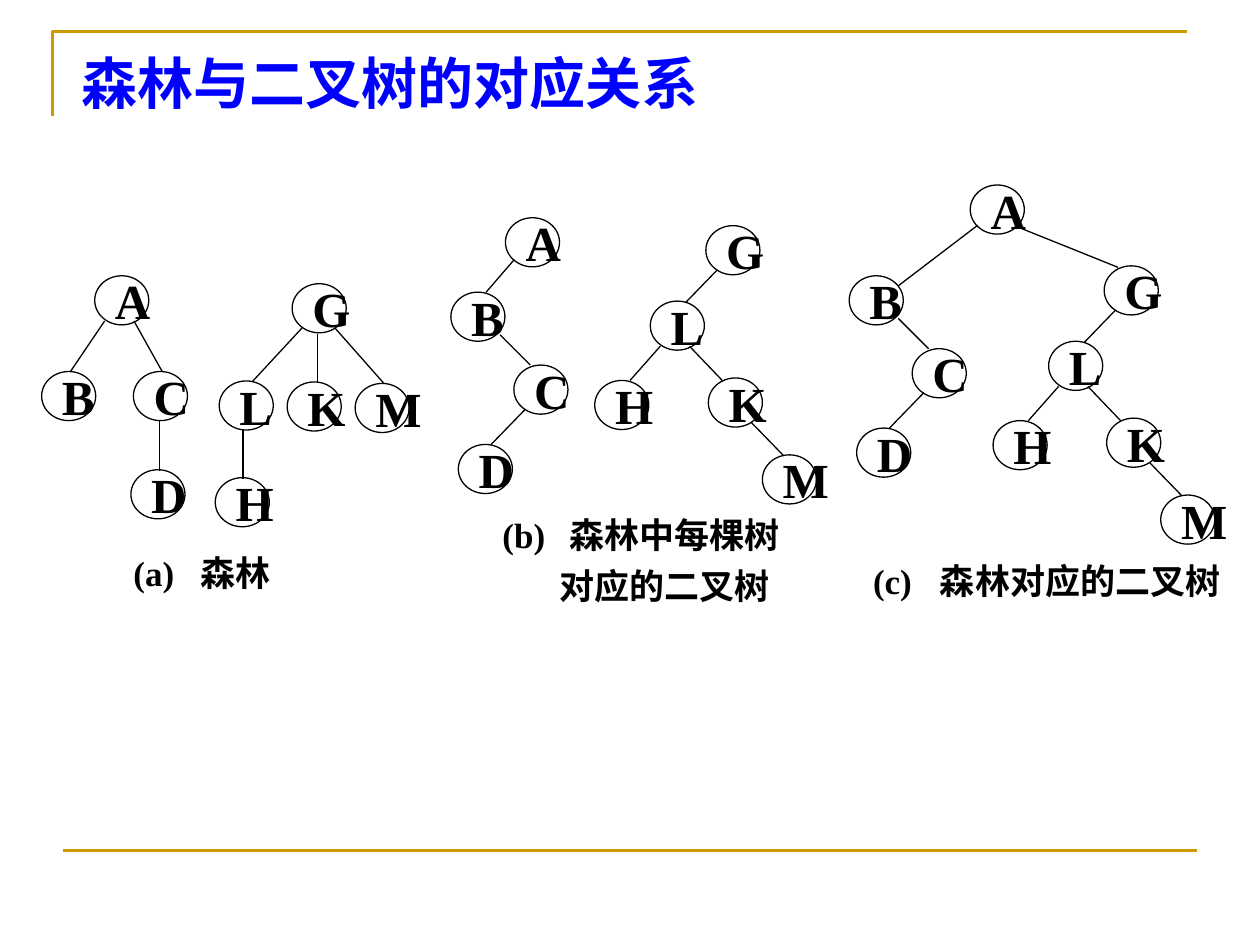
import dataclasses

import lxml.etree
import pptx
import pptx.dml.color
import pptx.enum.shapes
import pptx.enum.text
import pptx.oxml.ns
import pptx.util

Cm = pptx.util.Cm
Pt = pptx.util.Pt
RGBColor = pptx.dml.color.RGBColor
Anchor = pptx.enum.text.MSO_ANCHOR


@dataclasses.dataclass(frozen=True)
class Theme:
    """Colours, type sizes and line widths of the slide."""
    font: str = "Times New Roman"
    ink: RGBColor = RGBColor(0, 0, 0)
    title: RGBColor = RGBColor(0, 0, 255)
    frame: RGBColor = RGBColor(0xCC, 0x99, 0)
    title_size: Pt = Pt(32)
    node_size: Pt = Pt(28)
    caption_size: Pt = Pt(20)
    frame_width: Pt = Pt(1.5)
    tree_width: Pt = Pt(0.75)


THEME = Theme()
NODE_WIDTH, NODE_HEIGHT = 1.09, 0.99
CAPTION_TAB = 1.35

FOREST_A = {"A": (1.07, 0), "B": (0, 1.93), "C": (1.85, 1.93), "D": (1.8, 3.91)}
FOREST_G = {"G": (1.55, 0), "L": (0.08, 1.96), "K": (1.45, 1.98),
            "M": (2.82, 2.01), "H": (0, 3.91)}
BINARY_B = {"B": (0, 0), "C": (1.27, 1.47), "D": (0.15, 3.07)}
BINARY_G = {"G": (2.24, 0), "L": (1.12, 1.52), "H": (0, 3.12),
            "K": (2.29, 3.07), "M": (3.38, 4.62)}

FOREST_LINKS = [
    ("AB", (0.2, 0.91), (0.58, 0)), ("AC", (0.79, 0.91), (0.58, 0)),
    ("CD", (0.53, 0.99), (0.58, 0.02)), ("GL", (0.2, 0.89), (0.66, 0.02)),
    ("GK", (0.51, 1.01), (0.61, 0.02)), ("GM", (0.86, 0.89), (0.58, 0)),
    ("LH", (0.48, 0.99), (0.56, 0.02))]
BINARY_LINKS = [
    ("BC", (0.99, 0.86), (0.33, 0)), ("CD", (0.23, 0.89), (0.66, 0)),
    ("GL", (0.23, 0.89), (0.71, 0.03)), ("LH", (0.2, 0.91), (0.71, 0)),
    ("LK", (0.79, 0.91), (0.28, 0.05)), ("KM", (0.86, 0.89), (0.43, 0.02))]
PAIR_LINKS = [("AB", (0.18, 0.84), (0.71, 0))]
JOINED_LINKS = [("AB", (0.15, 0.81), (0.99, 0.2)), ("AG", (0.99, 0.86), (0.28, 0.03))]


def shifted(nodes, left, top):
    """Return the nodes moved by the given offset."""
    return {name: (x + left, y + top) for name, (x, y) in nodes.items()}


def offset_point(place, offset):
    """Return the point at an offset from a node corner."""
    return [round(a + b, 2) for a, b in zip(place, offset)]


def style_paragraph(para, size, color):
    """Give a paragraph the bold slide font, left aligned."""
    para.alignment = pptx.enum.text.PP_ALIGN.LEFT
    para.font.name = THEME.font
    para.font.size = size
    para.font.bold = True
    para.font.color.rgb = color


def set_frame(frame, anchor, wrap):
    """Set the insets, anchor and wrapping of a text frame."""
    frame.margin_left = frame.margin_right = Cm(0.25)
    frame.margin_top = frame.margin_bottom = Cm(0.13)
    frame.vertical_anchor = anchor
    frame.word_wrap = wrap


def add_line(page, start, end, color, width):
    """Draw a straight line without shadow."""
    line = page.shapes.add_connector(
        pptx.enum.shapes.MSO_CONNECTOR.STRAIGHT,
        *(Cm(value) for value in (*start, *end)))
    line.line.color.rgb = color
    line.line.width = width
    lxml.etree.SubElement(line._element.spPr, pptx.oxml.ns.qn("a:effectLst"))


def add_node(page, name, left, top):
    """Draw one lettered tree node."""
    node = page.shapes.add_shape(
        pptx.enum.shapes.MSO_SHAPE.OVAL,
        Cm(left), Cm(top), Cm(NODE_WIDTH), Cm(NODE_HEIGHT))
    node.shadow.inherit = False
    node.fill.background()
    node.line.color.rgb = THEME.ink
    node.line.width = THEME.tree_width
    set_frame(node.text_frame, Anchor.MIDDLE, False)
    para = node.text_frame.paragraphs[0]
    para.text = name
    style_paragraph(para, THEME.node_size, THEME.ink)


def add_caption(page, left, top, width, height, lines):
    """Write a caption whose label and text are parted by a tab."""
    box = page.shapes.add_textbox(Cm(left), Cm(top), Cm(width), Cm(height))
    frame = box.text_frame
    set_frame(frame, Anchor.MIDDLE, True)
    for index, text in enumerate(lines):
        para = frame.add_paragraph() if index else frame.paragraphs[0]
        para.text = text
        properties = para._p.get_or_add_pPr()
        if index:
            properties.set("marL", str(Cm(1.14)))
            para.space_before = Pt(5)
        else:
            tabs = lxml.etree.SubElement(properties, pptx.oxml.ns.qn("a:tabLst"))
            lxml.etree.SubElement(tabs, pptx.oxml.ns.qn("a:tab"),
                                  pos=str(Cm(CAPTION_TAB)), algn="l")
        style_paragraph(para, THEME.caption_size, THEME.ink)


def add_panel(page, left, top, nodes, links, caption_box, lines):
    """Draw trees and their caption relative to the panel corner."""
    places = shifted(nodes, left, top)
    for name, place in places.items():
        add_node(page, name, *place)
    for (parent, child), leave, enter in links:
        add_line(page, offset_point(places[parent], leave),
                 offset_point(places[child], enter), THEME.ink, THEME.tree_width)
    x, y, width, height = caption_box
    add_caption(page, left + x, top + y, width, height, lines)


def add_frame(page, left, top, width, height):
    """Draw the corner rule and the bottom rule."""
    builder = page.shapes.build_freeform(Cm(left), Cm(top + 1.7))
    builder.add_line_segments(
        [(Cm(left), Cm(top)), (Cm(left + width), Cm(top))], close=False)
    corner = builder.convert_to_shape()
    corner.shadow.inherit = False
    corner.fill.background()
    corner.line.color.rgb = THEME.frame
    corner.line.width = THEME.frame_width
    bottom = top + height
    add_line(page, (left + 0.21, bottom), (left + 0.21 + width, bottom),
             THEME.frame, THEME.frame_width)


def add_title(page, left, top, width, height, text):
    """Write the slide title."""
    box = page.shapes.add_textbox(Cm(left), Cm(top), Cm(width), Cm(height))
    set_frame(box.text_frame, Anchor.TOP, True)
    para = box.text_frame.paragraphs[0]
    para.text = text
    para.line_spacing = 1.1
    style_paragraph(para, THEME.title_size, THEME.title)


def main():
    """Build the slide and save it."""
    deck = pptx.Presentation()
    deck.slide_width, deck.slide_height = Cm(25.4), Cm(19.05)
    page = deck.slides.add_slide(deck.slide_layouts[6])
    add_frame(page, 1.06, 0.63, 22.86, 16.51)
    add_title(page, 1.4, 0.71, 23.57, 2, "森林与二叉树的对应关系")
    add_panel(page, 0.84, 5.56,
              FOREST_A | shifted(FOREST_G, 3.5, 0.16), FOREST_LINKS,
              (1.6, 5.49, 3.8, 0.99), ["(a)\t森林"])
    add_panel(page, 9.09, 4.39,
              {"A": (1.1, 0)} | shifted(BINARY_B, 0, 1.5) | shifted(BINARY_G, 2.9, 0.16),
              BINARY_LINKS + PAIR_LINKS,
              (0.79, 6, 6.8, 1.8), ["(b)\t森林中每棵树", "对应的二叉树"])
    add_panel(page, 17.12, 3.73,
              {"A": (2.44, 0)} | shifted(BINARY_B, 0, 1.83) | shifted(BINARY_G, 2.9, 1.63),
              BINARY_LINKS + JOINED_LINKS,
              (0.23, 7.47, 7.9, 0.99), ["(c)\t森林对应的二叉树"])
    deck.save("out.pptx")


if __name__ == "__main__":
    main()
